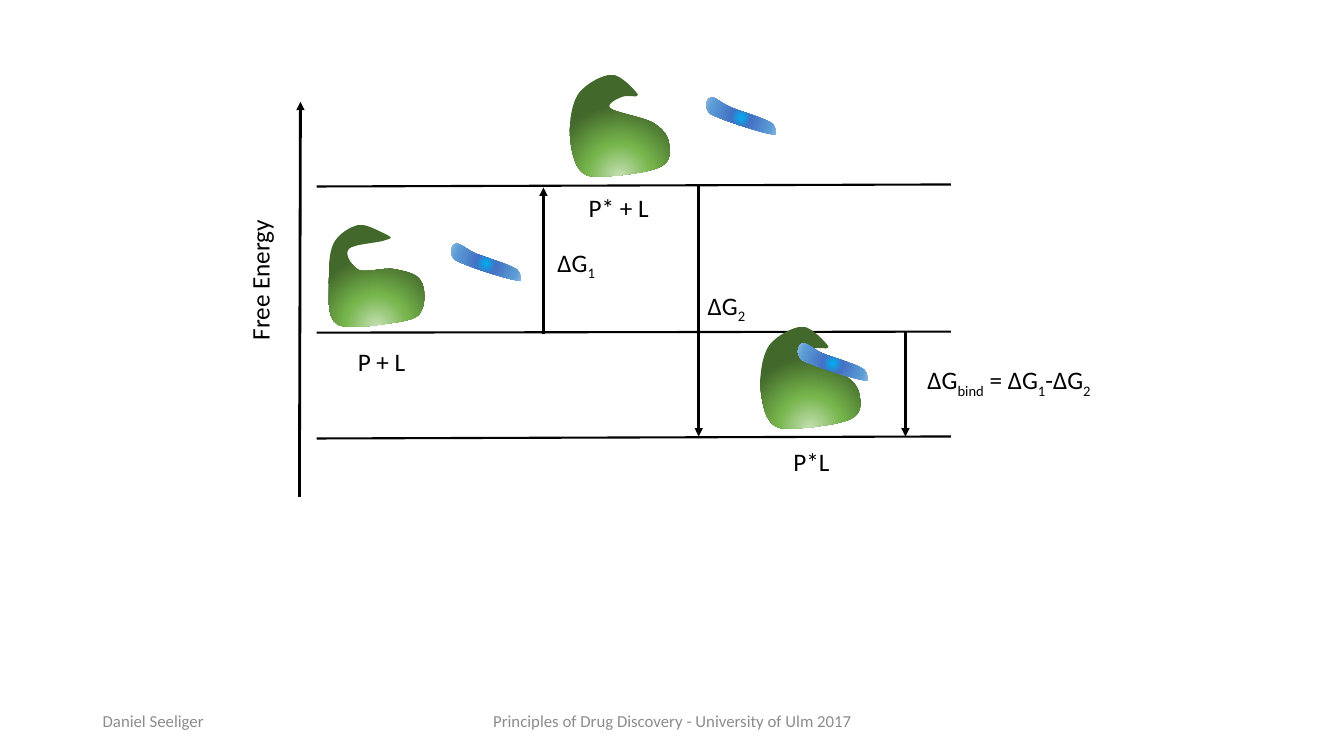
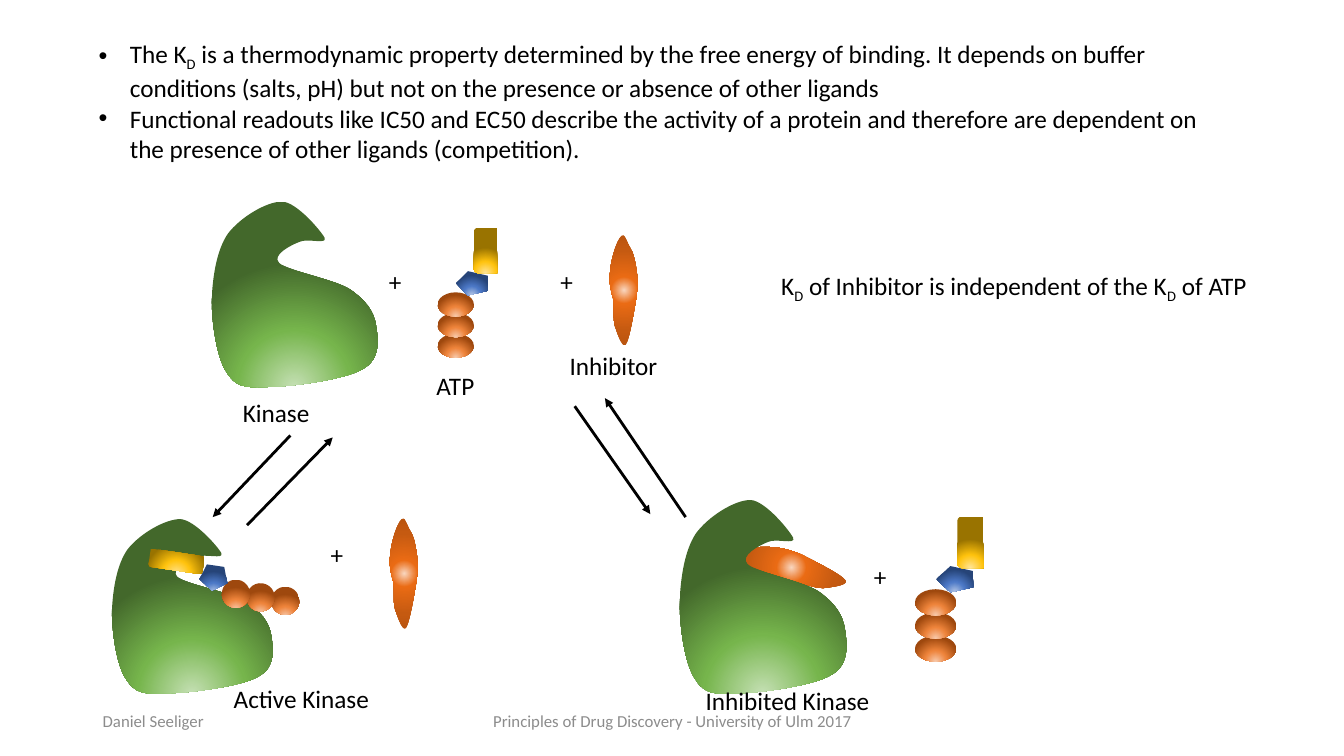
from lxml.etree import SubElement
from pptx import Presentation
from pptx.dml.color import RGBColor
from pptx.enum.shapes import MSO_CONNECTOR, MSO_SHAPE
from pptx.enum.text import MSO_ANCHOR, MSO_AUTO_SIZE, PP_ALIGN
from pptx.oxml import parse_xml
from pptx.oxml.ns import nsdecls, qn
from pptx.util import Emu, Pt

PX = 9144
FONT = "Calibri"
BLACK, GREY = "000000", "8C8C8C"
BELOW, CENTRE = (50, 130, 50, -30), (50, 50, 50, 50)
GREEN = ([(0, "C5E0B4"), (46, "76B54C"), (100, "43682B")], BELOW)
COPPER = ([(0, "F8CBAD"), (46, "EE843B"), (100, "9E480E")], BELOW)
NAVY = ([(0, "B4C7E7"), (46, "4D79C7"), (100, "264478")], BELOW)
GOLD = ([(0, "FFE699"), (46, "FFC30D"), (100, "997300")], BELOW)
SKY = ([(0, "00B0F0"), (23, "4472C4"), (69, "5B9BD5"), (97, "9DC3E6")], CENTRE)
ORANGE = ([(0, "F9D7BF"), (23, "EA6B14"), (69, "C55A11"), (97, "B85410")], CENTRE)

KINASE = ((164, 184), GREEN, (112, 36), [
    ((109, 30), (85, 1), (70, 0)), ((54, 0), (28, 16), (16, 32)),
    ((5, 48), (1, 74), (0, 97)), ((0, 120), (5, 154), (14, 168)),
    ((23, 183), (31, 185), (53, 184)), ((76, 184), (132, 177), (150, 166)),
    ((168, 156), (165, 136), (163, 123)), ((161, 109), (153, 98), (137, 87)),
    ((121, 77), (76, 69), (67, 61)), ((59, 53), (79, 43), (87, 40)),
    ((95, 36), (115, 43), (112, 36))])
OPEN_PROTEIN = ((95, 101), GREEN, (58, 10), [
    ((53, 8), (38, -1), (30, 0)), ((21, 2), (10, 9), (5, 18)),
    ((0, 28), (0, 44), (0, 57)), ((1, 70), (-3, 92), (9, 99)),
    ((21, 105), (58, 98), (72, 96)), ((85, 93), (89, 92), (92, 85)),
    ((96, 78), (96, 62), (91, 55)), ((87, 48), (75, 46), (65, 44)),
    ((55, 42), (38, 48), (30, 45)), ((23, 41), (15, 29), (20, 24)),
    ((24, 19), (51, 18), (57, 15)), ((64, 13), (62, 13), (58, 10))])
LIGAND = ((76, 17), SKY, (56, 0), [
    ((45, 0), (15, 2), (6, 4)), ((-3, 5), (0, 6), (1, 8)),
    ((2, 10), (3, 15), (12, 15)), ((20, 16), (39, 14), (50, 14)),
    ((60, 14), (70, 18), (73, 16)), ((77, 14), (76, 6), (72, 3)),
    ((69, 0), (67, 0), (56, 0))])
INHIBITOR = ((110, 28), ORANGE, (62, 2), [
    ((49, 0), (41, 0), (33, 1)), ((25, 2), (18, 3), (13, 6)),
    ((8, 9), (-3, 11), (1, 14)), ((5, 19), (25, 26), (36, 27)),
    ((46, 30), (64, 25), (64, 25)), ((75, 25), (85, 27), (93, 24)),
    ((100, 22), (113, 18), (109, 15)), ((104, 11), (75, 5), (62, 2))])


def px(*values):
    return [Emu(round(v * PX)) for v in values]


def rgb(value):
    return RGBColor.from_string(value)


def paint(sp, gradient, rot):
    stops, focus = gradient
    gs = "".join(f'<a:gs pos="{pos * 1000}"><a:srgbClr val="{c}"/></a:gs>'
                 for pos, c in stops)
    left, top, right, bottom = (v * 1000 for v in focus)
    fill = parse_xml(
        f'<a:gradFill {nsdecls("a")} rotWithShape="1"><a:gsLst>{gs}</a:gsLst>'
        f'<a:path path="circle"><a:fillToRect l="{left}" t="{top}" '
        f'r="{right}" b="{bottom}"/></a:path></a:gradFill>')
    sp.shadow.inherit = False
    sp.line.fill.background()
    geometry = next(e for e in sp._element.spPr
                    if e.tag in (qn("a:custGeom"), qn("a:prstGeom")))
    geometry.addnext(fill)
    sp.rotation = rot


def add_points(parent, points):
    for point in points:
        x, y = px(*point)
        SubElement(parent, qn("a:pt"), x=str(x), y=str(y))


def bend(sp, size, start, curves):
    track = sp._element.spPr.find(".//" + qn("a:path"))
    for child in list(track):
        track.remove(child)
    for name, value in zip("wh", px(*size)):
        track.set(name, str(value))
    add_points(SubElement(track, qn("a:moveTo")), [start])
    for curve in curves:
        add_points(SubElement(track, qn("a:cubicBezTo")), curve)
    SubElement(track, qn("a:close"))


def blob(shapes, outline, left, top, size=None, rot=0):
    nominal, gradient, start, curves = outline
    builder = shapes.build_freeform(*start, scale=PX)
    builder.add_line_segments([curve[-1] for curve in curves], close=True)
    sp = builder.convert_to_shape()
    bend(sp, nominal, start, curves)
    sp.left, sp.top, sp.width, sp.height = px(left, top, *(size or nominal))
    paint(sp, gradient, rot)


def preset(shapes, kind, gradient, box, rot):
    paint(shapes.add_shape(kind, *px(*box)), gradient, rot)


def atp(shapes, bead, step, ring, tail, rot):
    left, top, w, h = bead
    for i in range(3):
        preset(shapes, MSO_SHAPE.OVAL, COPPER,
               (left + i * step[0], top + i * step[1], w, h), rot)
    preset(shapes, MSO_SHAPE.REGULAR_PENTAGON, NAVY, ring, rot)
    preset(shapes, MSO_SHAPE.ROUND_2_SAME_RECTANGLE, GOLD, tail, rot)


def regroup(group):
    group._element.recalculate_extents()


def line(s, x1, y1, x2, y2, width=2, arrow=True):
    c = s.shapes.add_connector(MSO_CONNECTOR.STRAIGHT, *px(x1, y1, x2, y2))
    c.line.width = Pt(width)
    c.line.color.rgb = rgb(BLACK)
    if arrow:
        SubElement(c.line._get_or_add_ln(), qn("a:tailEnd"), type="triangle")
    SubElement(c._element.spPr, qn("a:effectLst"))


def bullet(p, indent=31):
    pPr = p._p.get_or_add_pPr()
    pPr.set("marL", str(indent * PX))
    pPr.set("indent", str(-indent * PX))
    SubElement(pPr, qn("a:buFont"), typeface="Arial")
    SubElement(pPr, qn("a:buChar"), char="•")


def text(s, content, left, top, width, height=40, size=18, color=BLACK, wrap=False,
         bullets=False, align=PP_ALIGN.LEFT, anchor=MSO_ANCHOR.TOP, rot=0):
    sp = s.shapes.add_textbox(*px(left, top, width, height))
    sp.rotation = rot
    tf = sp.text_frame
    tf.word_wrap = wrap
    tf.vertical_anchor = anchor
    tf.auto_size = MSO_AUTO_SIZE.NONE if anchor == MSO_ANCHOR.MIDDLE \
        else MSO_AUTO_SIZE.SHAPE_TO_FIT_TEXT
    for i, paragraph in enumerate(content.split("\n")):
        p = tf.add_paragraph() if i else tf.paragraphs[0]
        p.alignment = align
        if bullets:
            bullet(p)
        for j, part in enumerate(paragraph.split("|")):
            if not part:
                continue
            r = p.add_run()
            r.text = part
            r.font.name, r.font.size = FONT, Pt(size)
            r.font.color.rgb = rgb(color)
            if j % 2:
                r._r.get_or_add_rPr().set("baseline", "-25000")


def footer(s):
    style = dict(size=12, color=GREY, wrap=True, anchor=MSO_ANCHOR.MIDDLE)
    text(s, "Daniel Seeliger", 92, 695, 300, **style)
    text(s, "Principles of Drug Discovery - University of Ulm 2017",
         442, 695, 450, align=PP_ALIGN.CENTER, **style)


def energy_slide(s):
    blob(s.shapes, KINASE, 565, 74, (99, 101))
    blob(s.shapes, OPEN_PROTEIN, 326, 223)
    line(s, 297, 493, 298, 101)
    for y1, y2 in ((330, 329), (185, 183), (435, 433)):
        line(s, 314, y1, 943, y2, width=1.5, arrow=False)
    for label in (("P + L", 345, 339, 68), ("P* + L", 574, 186, 81),
                  ("P*L", 777, 438, 56)):
        text(s, *label)
    text(s, "Free Energy", 187, 257, 141, rot=270)
    for arrow in ((539, 331, 539, 186), (693, 185, 693, 433), (898, 329, 898, 433)):
        line(s, *arrow)
    for label in (("ΔG|2", 692, 283, 59), ("ΔG|1", 543, 240, 59),
                  ("ΔG|bind| = ΔG|1|-ΔG|2", 910, 357, 190)):
        text(s, *label)
    for left, top in ((444, 253), (697, 108)):
        blob(s.shapes, LIGAND, left, top, rot=201.9)
    blob(s.shapes, KINASE, 754, 324, (99, 101))
    blob(s.shapes, LIGAND, 788, 352, rot=201.9)


def kinase_slide(s):
    text(s, "The K|D| is a thermodynamic property determined by the free energy of "
            "binding. It depends on buffer conditions (salts, pH) but not on the "
            "presence or absence of other ligands\n"
            "Functional readouts like IC50 and EC50 describe the activity of a protein "
            "and therefore are dependent on the presence of other ligands (competition).",
         88, 33, 1114, 131, wrap=True, bullets=True)
    active, free_atp, inhibited = (s.shapes.add_group_shape() for _ in range(3))
    blob(active.shapes, KINASE, 111, 515, (159, 173))
    atp(active.shapes, (269, 582, 28, 28), (-24.5, -3.5), (198, 561, 28, 25),
        (148, 548, 54, 18), 188.3)
    atp(free_atp.shapes, (440, 325, 24, 36), (0, -20.5), (456, 265, 24, 32),
        (459, 237, 45, 23), 270)
    blob(inhibited.shapes, INHIBITOR, 729, 546, (112, 34), rot=12.1)
    blob(inhibited.shapes, KINASE, 674, 496, (165, 192))
    blob(s.shapes, KINASE, 210, 200)
    blob(s.shapes, INHIBITOR, 346, 555, rot=87.2)
    displaced_atp = s.shapes.add_group_shape()
    atp(displaced_atp.shapes, (915, 623, 26, 41), (0, -23), (934, 556, 26, 37),
        (937, 525, 51, 26), 270)
    for group in (active, free_atp, inhibited, displaced_atp):
        regroup(group)
    for arrow in ((288, 432, 211, 513), (245, 521, 330, 434),
                  (570, 403, 645, 510), (680, 513, 600, 395)):
        line(s, *arrow)
    for label in (("Kinase", 231, 389, 87), ("ATP", 423, 362, 58),
                  ("Inhibitor", 555, 343, 108), ("+", 376, 259, 33),
                  ("+", 546, 259, 33), ("+", 318, 530, 33), ("+", 857, 552, 33),
                  ("Active Kinase", 222, 673, 156),
                  ("Inhibited Kinase", 690, 675, 185)):
        text(s, *label)
    blob(s.shapes, INHIBITOR, 564, 274, rot=87.2)
    text(s, "K|D| of Inhibitor is independent of the K|D| of ATP", 765, 263, 501)


def main():
    prs = Presentation()
    prs.slide_width, prs.slide_height = px(1333, 750)
    for build in (energy_slide, kinase_slide):
        s = prs.slides.add_slide(prs.slide_layouts[6])
        build(s)
        footer(s)
    prs.save("out.pptx")


if __name__ == "__main__":
    main()
